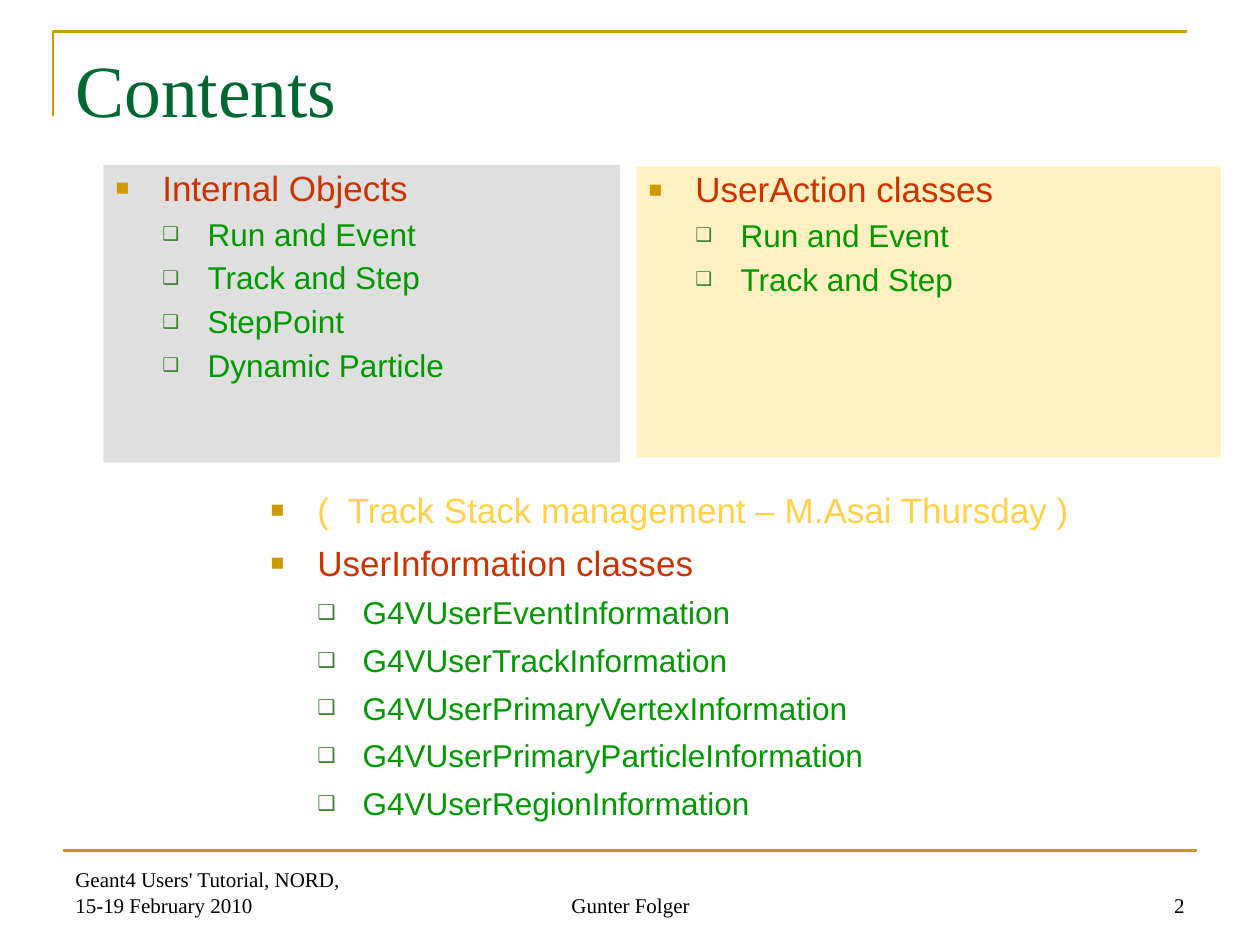
from lxml.etree import SubElement
from pptx import Presentation
from pptx.dml.color import RGBColor
from pptx.enum.shapes import MSO_CONNECTOR, MSO_SHAPE
from pptx.enum.text import MSO_ANCHOR, PP_ALIGN
from pptx.oxml.ns import qn
from pptx.util import Inches, Pt

GOLD = RGBColor(0xCC, 0x99, 0x00)
DARK_GREEN = RGBColor(0x00, 0x66, 0x33)
GREEN = RGBColor(0x00, 0x99, 0x00)
BULLET_GREEN = RGBColor(0x3B, 0x81, 0x2F)
RED = RGBColor(0xCC, 0x33, 0x00)
YELLOW = RGBColor(0xFF, 0xD1, 0x47)
GRAY = RGBColor(0xDF, 0xDF, 0xDF)
CREAM = RGBColor(0xFF, 0xF0, 0xC2)
BLACK = RGBColor(0x00, 0x00, 0x00)

TITLE = "Contents"
OUTLINES = [
    {"box": (0.82, 1.31, 4.1, 2.36), "fill": GRAY, "spacing": 0.9, "sub_bullet": 60,
     "topics": [("Internal Objects", RED,
                 ["Run and Event", "Track and Step", "StepPoint", "Dynamic Particle"])]},
    {"box": (5.05, 1.32, 4.64, 2.31), "fill": CREAM, "spacing": 0.9, "sub_bullet": 60,
     "topics": [("UserAction classes", RED, ["Run and Event", "Track and Step"])]},
    {"box": (2.05, 3.83, 6.78, 2.91), "fill": None, "spacing": 1.0, "sub_bullet": 65,
     "topics": [("(  Track Stack management – M.Asai Thursday )", YELLOW, []),
                ("UserInformation classes", RED,
                 ["G4VUserEventInformation", "G4VUserTrackInformation",
                  "G4VUserPrimaryVertexInformation", "G4VUserPrimaryParticleInformation",
                  "G4VUserRegionInformation"])]},
]
FOOTERS = [
    ("2", 7.17, 2.33, PP_ALIGN.RIGHT),
    ("Gunter Folger", 3.42, 3.17, PP_ALIGN.CENTER),
    ("Geant4 Users' Tutorial, NORD, 15-19 February 2010", 0.5, 2.33, PP_ALIGN.LEFT),
]


def write_text(paragraph, text, size, color, font="Times New Roman", align=PP_ALIGN.LEFT):
    paragraph.alignment = align
    run = paragraph.add_run()
    run.text = text
    run.font.size = Pt(size)
    run.font.name = font
    run.font.color.rgb = color


def add_box(slide, box, fill=None, anchor=MSO_ANCHOR.TOP):
    lengths = [Inches(value) for value in box]
    if fill is None:
        shape = slide.shapes.add_textbox(*lengths)
    else:
        shape = slide.shapes.add_shape(MSO_SHAPE.RECTANGLE, *lengths)
        shape.shadow.inherit = False
        shape.fill.solid()
        shape.fill.fore_color.rgb = fill
        shape.line.fill.background()
    shape.text_frame.word_wrap = True
    shape.text_frame.vertical_anchor = anchor
    return shape.text_frame


def set_bullet(paragraph, character, color, percent, left, hanging):
    properties = paragraph._p.get_or_add_pPr()
    properties.set("marL", str(Inches(left)))
    properties.set("indent", str(-Inches(hanging)))
    bullet_color = SubElement(properties, qn("a:buClr"))
    SubElement(bullet_color, qn("a:srgbClr"), val=str(color))
    SubElement(properties, qn("a:buSzPct"), val=str(percent * 1000))
    SubElement(properties, qn("a:buFont"), typeface="Arial")
    SubElement(properties, qn("a:buChar"), char=character)


def add_outline(slide, outline):
    frame = add_box(slide, outline["box"], outline["fill"])
    rows = []
    for heading, color, items in outline["topics"]:
        rows.append((0, heading, color))
        rows += [(1, item, GREEN) for item in items]
    levels = [(20, 6.2, ("■", GOLD, 65, 0.37, 0.37)),
              (18, 5.6, ("❑", BULLET_GREEN, outline["sub_bullet"], 0.73, 0.36))]
    for index, (level, text, color) in enumerate(rows):
        size, space_before, bullet = levels[level]
        paragraph = frame.add_paragraph() if index else frame.paragraphs[0]
        paragraph.level = level
        paragraph.line_spacing = outline["spacing"]
        paragraph.space_before = Pt(space_before)
        write_text(paragraph, text, size, color, font="Arial")
        set_bullet(paragraph, *bullet)


def add_frame_lines(slide):
    builder = slide.shapes.build_freeform(Inches(0.42), Inches(0.92))
    builder.add_line_segments([(Inches(0.42), Inches(0.25)), (Inches(9.42), Inches(0.25))],
                              close=False)
    corner = builder.convert_to_shape()
    corner.shadow.inherit = False
    corner.fill.background()
    rule = slide.shapes.add_connector(MSO_CONNECTOR.STRAIGHT, Inches(0.5), Inches(6.75),
                                      Inches(9.5), Inches(6.75))
    SubElement(rule._element.spPr, qn("a:effectLst"))
    for shape in (corner, rule):
        shape.line.color.rgb = GOLD
        shape.line.width = Pt(1.5)


def main():
    presentation = Presentation()
    presentation.slide_width = Inches(10)
    presentation.slide_height = Inches(7.5)
    slide = presentation.slides.add_slide(presentation.slide_layouts[6])
    add_frame_lines(slide)
    title = add_box(slide, (0.5, 0.3, 9, 1.25))
    write_text(title.paragraphs[0], TITLE, 42, DARK_GREEN)
    for outline in OUTLINES:
        add_outline(slide, outline)
    for text, left, width, align in FOOTERS:
        footer = add_box(slide, (left, 6.83, width, 0.5), anchor=MSO_ANCHOR.BOTTOM)
        write_text(footer.paragraphs[0], text, 12, BLACK, align=align)
    presentation.save("out.pptx")


if __name__ == "__main__":
    main()
